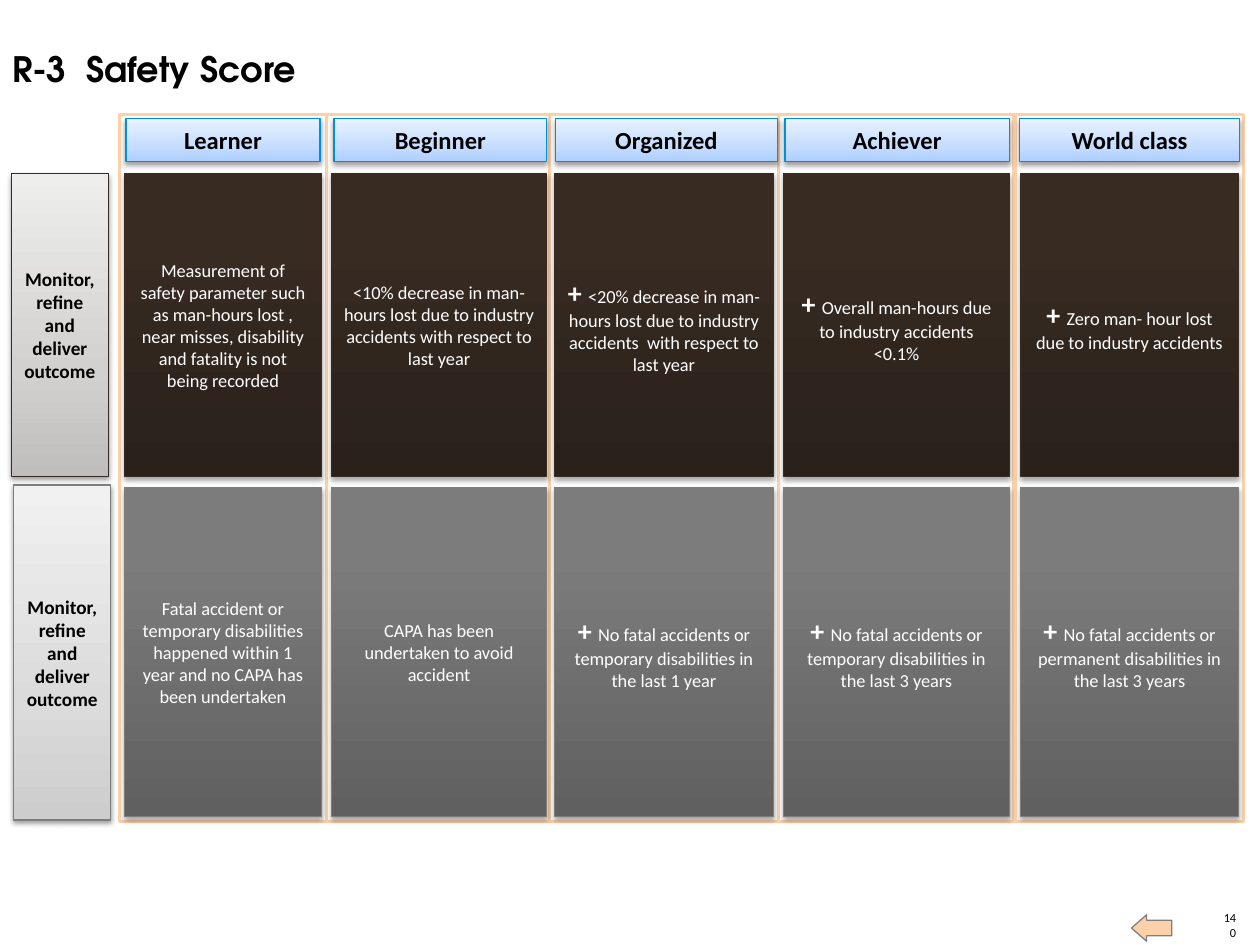
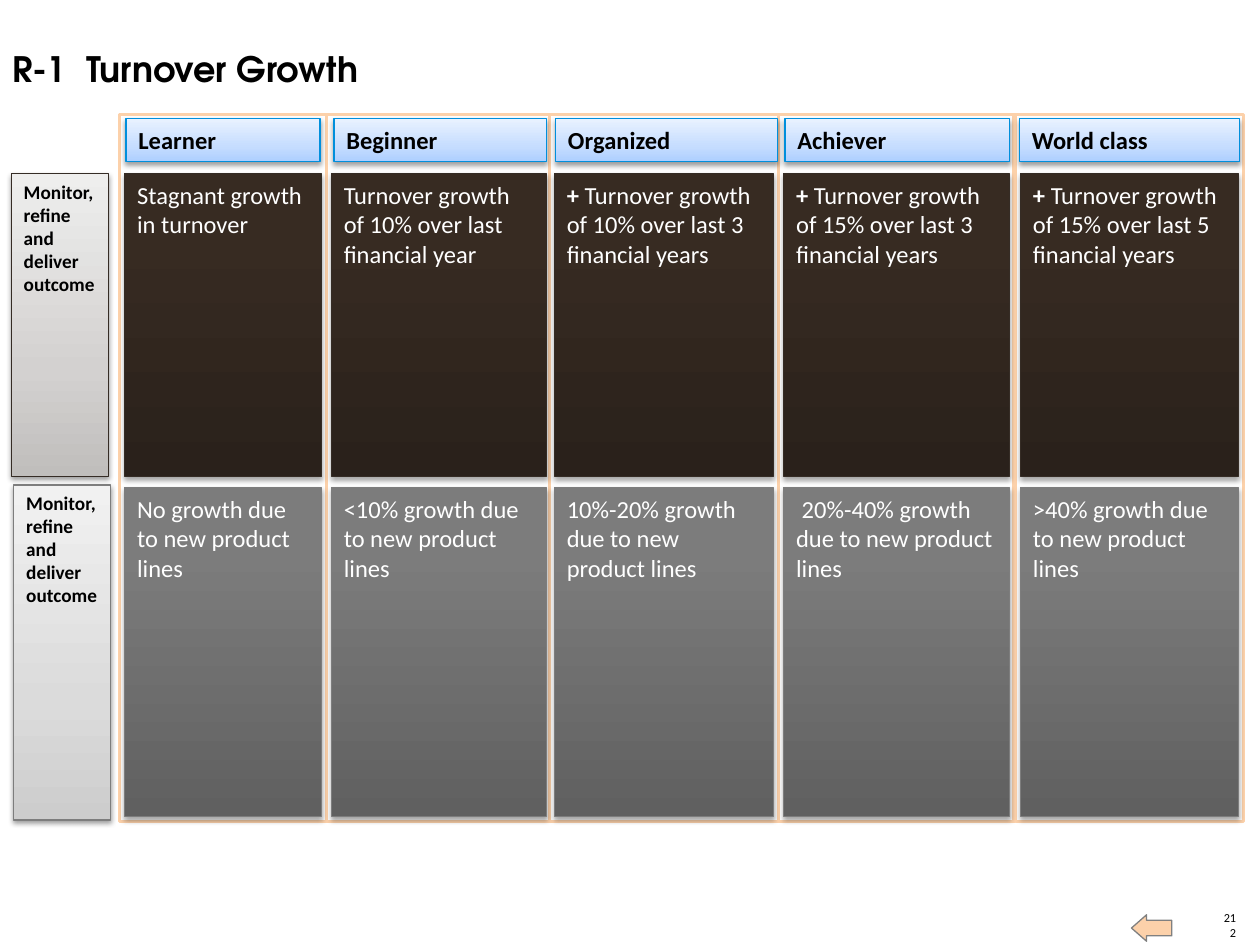
import lxml.etree
import pptx
import pptx.dml.color
import pptx.enum.shapes
import pptx.enum.text
import pptx.oxml.ns
import pptx.util

SLIDE_WIDTH, SLIDE_HEIGHT = 10, 7.5
BODY_FONT, TITLE_FONT = "Calibri", "TeX Gyre Adventor"
BLACK, WHITE, PEACH, GREY = "000000", "FFFFFF", "FCD1AA", "808080"
ANCHOR = pptx.enum.text.MSO_ANCHOR
ALIGN = pptx.enum.text.PP_ALIGN
PRESET = pptx.enum.shapes.MSO_SHAPE

# Each panel style: gradient stops from bottom to top, line colour,
# shadow opacity in percent, shadow distance in points
HEADER = ([(0, "AECFFF"), (35, "C6DDFF"), (100, "E9F2FF")], "008FDC", 38, 1.6)
DARK_LABEL = ([(0, "C0BEBC"), (35, "D3D1D0"), (100, "EEEEED")], "352C25", 38, 1.6)
GREY_LABEL = ([(0, "CDCDCD"), (35, "DBDBDB"), (100, "F1F1F1")], "7D7D7D", 38, 1.6)
DARK_CELL = ([(0, "2A211B"), (80, "372B22"), (100, "372B22")], "352C25", 35, 1.8)
GREY_CELL = ([(0, "606060"), (80, "7C7C7C"), (100, "7D7D7D")], "7D7D7D", 35, 1.8)

BOARD = (0.09, 0.91, 9.78, 5.61)
CELL_INSET = 0.04
HEADER_TOP, HEADER_HEIGHT = 0.03, 0.34
LABEL_WIDTH = 0.77
LABEL_TEXT = "Monitor, refine and deliver outcome"
# Level, frame left and width, header left and width, measured from the board
LEVELS = [
    ("Learner", 0.86, 1.64, 0.91, 1.54),
    ("Beginner", 2.5, 1.79, 2.56, 1.69),
    ("Organized", 4.27, 1.82, 4.32, 1.76),
    ("Achiever", 6.09, 1.87, 6.14, 1.78),
    ("World class", 7.97, 1.81, 8, 1.75),
]
# Cell style, top and height; label style, left, top and height
ROWS = [
    (DARK_CELL, 0.47, 2.4, DARK_LABEL, 0, 0.47, 2.4),
    (GREY_CELL, 2.96, 2.61, GREY_LABEL, 0.02, 2.94, 2.66),
]

PAGES = [
    dict(
        title="R-3  Safety Score", number="140", size=10.5, plus_size=16,
        anchor=ANCHOR.MIDDLE, align=ALIGN.CENTER,
        rows=[
            [
                "Measurement of safety parameter such as man-hours lost , near misses, "
                "disability and fatality is not being recorded",
                "<10% decrease in man-hours lost due to industry accidents "
                "with respect to last year",
                "+ <20% decrease in man-hours lost due to industry accidents  "
                "with respect to last year",
                "+ Overall man-hours due to industry accidents <0.1%",
                "+ Zero man- hour lost due to industry accidents",
            ],
            [
                "Fatal accident or temporary disabilities happened within 1 year "
                "and no CAPA has been undertaken",
                "CAPA has been undertaken to avoid accident",
                "+ No fatal accidents or temporary disabilities in the last 1 year",
                "+ No fatal accidents or temporary disabilities in the last 3 years",
                "+ No fatal accidents or permanent disabilities in the last 3 years",
            ],
        ],
    ),
    dict(
        title="R-1  Turnover Growth", number="212", size=14, plus_size=14,
        anchor=ANCHOR.TOP, align=ALIGN.LEFT,
        rows=[
            [
                "Stagnant growth in turnover",
                "Turnover growth of 10% over last financial year",
                "+ Turnover growth of 10% over last 3 financial years",
                "+ Turnover growth of 15% over last 3 financial years",
                "+ Turnover growth of 15% over last 5 financial years",
            ],
            [
                "No growth due to new product lines",
                "<10% growth due to new product lines",
                "10%-20% growth due to new product lines",
                " 20%-40% growth due to new product lines",
                ">40% growth due to new product lines",
            ],
        ],
    ),
]


def colour(hex_text):
    return pptx.dml.color.RGBColor.from_string(hex_text)


def inches(box):
    return [pptx.util.Inches(length) for length in box]


def add_xml(parent, tag, **attributes):
    child = lxml.etree.SubElement(parent, pptx.oxml.ns.qn(tag))
    for name, value in attributes.items():
        child.set(name, str(value))
    return child


def add_colour_xml(parent, hex_text):
    return add_xml(parent, "a:srgbClr", val=hex_text)


def style_span(span, size, hex_text, bold=False, font=BODY_FONT):
    span.font.name = font
    span.font.size = pptx.util.Pt(size)
    span.font.bold = bold
    span.font.color.rgb = colour(hex_text)


def write(shape, text, size, hex_text, bold=False, font=BODY_FONT,
          anchor=ANCHOR.TOP, align=ALIGN.LEFT, plus_size=None):
    """Fill a shape with one paragraph; a leading plus sign becomes a bold run."""
    frame = shape.text_frame
    frame.word_wrap = True
    frame.vertical_anchor = anchor
    para = frame.paragraphs[0]
    para.alignment = align
    if text.startswith("+ "):
        para.text = "+ "
        style_span(para.runs[0], plus_size, hex_text, bold=True)
        para.add_run().text = text[2:]
    else:
        para.text = text
    style_span(para.runs[-1], size, hex_text, bold, font)


def add_flat_shape(page, preset, box, fill, line, line_width):
    shape = page.shapes.add_shape(preset, *inches(box))
    shape.shadow.inherit = False
    shape.fill.solid()
    shape.fill.fore_color.rgb = colour(fill)
    shape.line.color.rgb = colour(line)
    shape.line.width = pptx.util.Pt(line_width)
    return shape


def add_panel(page, box, style):
    """Rectangle with a vertical gradient and a soft shadow below."""
    stops, line, opacity, distance = style
    panel = add_flat_shape(page, PRESET.RECTANGLE, box, WHITE, line, 0.75)
    panel.fill.gradient()
    panel.fill.gradient_angle = 90
    properties = panel.element.spPr
    stop_list = properties.find(".//" + pptx.oxml.ns.qn("a:gsLst"))
    for default_stop in list(stop_list):
        stop_list.remove(default_stop)
    for position, hex_text in stops:
        add_colour_xml(add_xml(stop_list, "a:gs", pos=position * 1000), hex_text)
    shadow = add_xml(
        properties.find(pptx.oxml.ns.qn("a:effectLst")), "a:outerShdw",
        blurRad=pptx.util.Pt(3.1), dist=pptx.util.Pt(distance),
        dir=90 * 60000, rotWithShape=0)
    add_xml(add_colour_xml(shadow, BLACK), "a:alpha", val=opacity * 1000)
    return panel


def add_footer(page, box, number):
    left, top, width, height = box
    number_box = page.shapes.add_textbox(
        *inches((left + width - 0.12, top + height - 0.12, 0.12, 0.12)))
    frame = number_box.text_frame
    frame.margin_left = frame.margin_right = frame.margin_top = frame.margin_bottom = 0
    write(number_box, number, 7, BLACK, anchor=ANCHOR.BOTTOM, align=ALIGN.RIGHT)
    arrow = add_flat_shape(page, PRESET.RIGHT_ARROW,
                           (left, top, 0.32, 0.21), PEACH, GREY, 0.75)
    arrow.rotation = 180
    arrow.adjustments[0], arrow.adjustments[1] = 0.59, 0.57


def add_title(page, box, title):
    write(page.shapes.add_textbox(*inches(box)), title, 20, BLACK, True, TITLE_FONT)


def add_board(page, box, content):
    """Maturity board: a framed column for each level, a labelled row for each measure."""
    left, top, _, height = box
    layout = dict(anchor=content["anchor"], align=content["align"])

    def add_row_label(row):
        _, _, _, style, label_left, label_top, label_height = row
        label = add_panel(
            page, (left + label_left, top + label_top, LABEL_WIDTH, label_height), style)
        write(label, LABEL_TEXT, 11, BLACK, True, **layout)

    def add_cells(row, texts):
        style, cell_top, cell_height = row[:3]
        for (_, frame_left, frame_width, _, _), text in zip(LEVELS, texts):
            cell = add_panel(page, (left + frame_left + CELL_INSET, top + cell_top,
                                    frame_width - 2 * CELL_INSET, cell_height), style)
            write(cell, text, content["size"], WHITE,
                  plus_size=content["plus_size"], **layout)

    add_row_label(ROWS[0])
    for _, frame_left, frame_width, _, _ in LEVELS:
        add_flat_shape(page, PRESET.RECTANGLE,
                       (left + frame_left, top, frame_width, height), WHITE, PEACH, 2)
    add_cells(ROWS[0], content["rows"][0])
    for level, _, _, header_left, header_width in LEVELS:
        header = add_panel(page, (left + header_left, top + HEADER_TOP,
                                  header_width, HEADER_HEIGHT), HEADER)
        write(header, level, 14, BLACK, True, **layout)
    add_cells(ROWS[1], content["rows"][1])
    add_row_label(ROWS[1])


def add_score_page(deck, content):
    page = deck.slides.add_slide(deck.slide_layouts[6])
    add_footer(page, (8.98, 7.26, 0.83, 0.2), content["number"])
    add_title(page, (0, 0.33, 0.86 * SLIDE_WIDTH, 0.44), content["title"])
    add_board(page, BOARD, content)


def main():
    deck = pptx.Presentation()
    deck.slide_width = pptx.util.Inches(SLIDE_WIDTH)
    deck.slide_height = pptx.util.Inches(SLIDE_HEIGHT)
    for content in PAGES:
        add_score_page(deck, content)
    deck.save("out.pptx")


if __name__ == "__main__":
    main()
